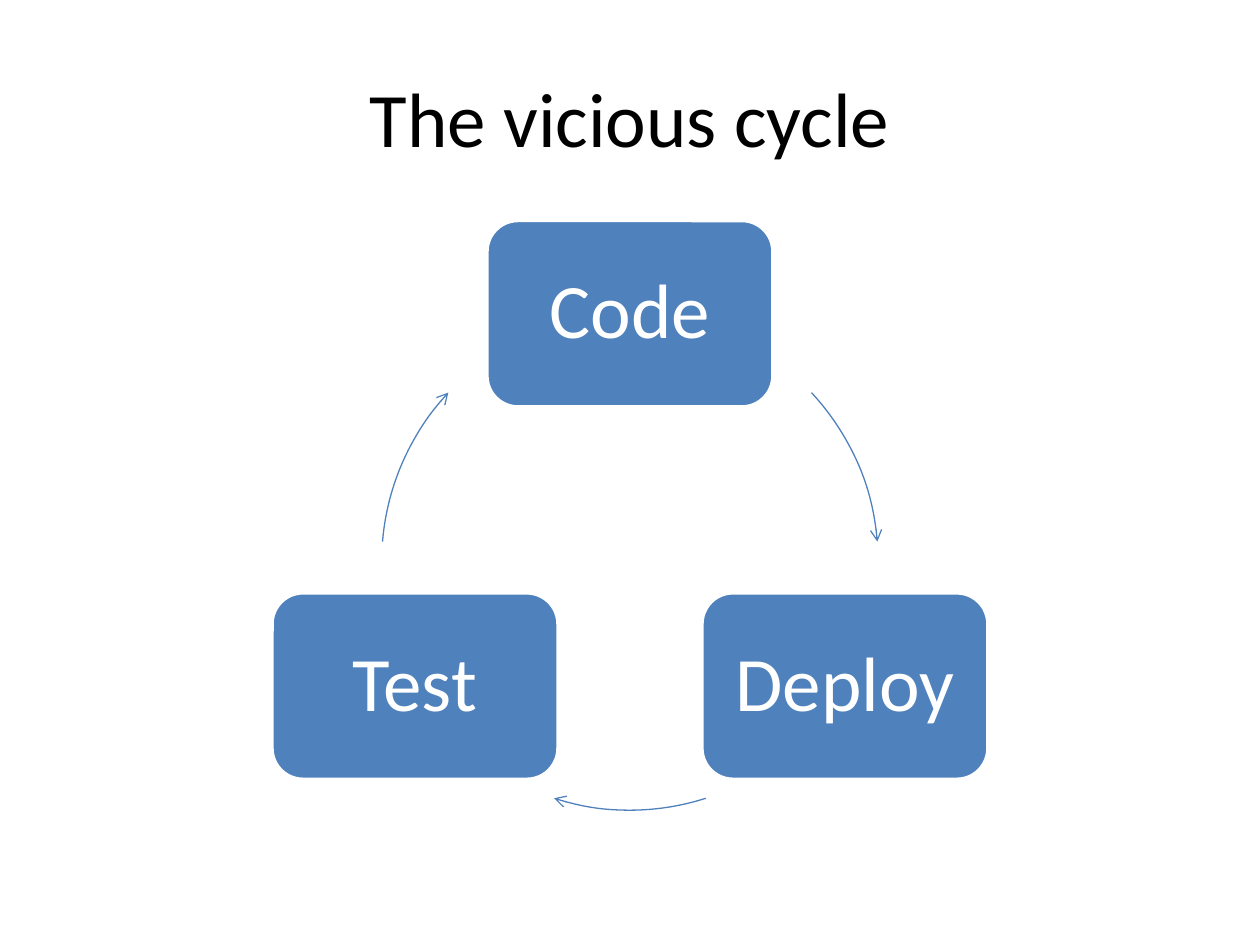
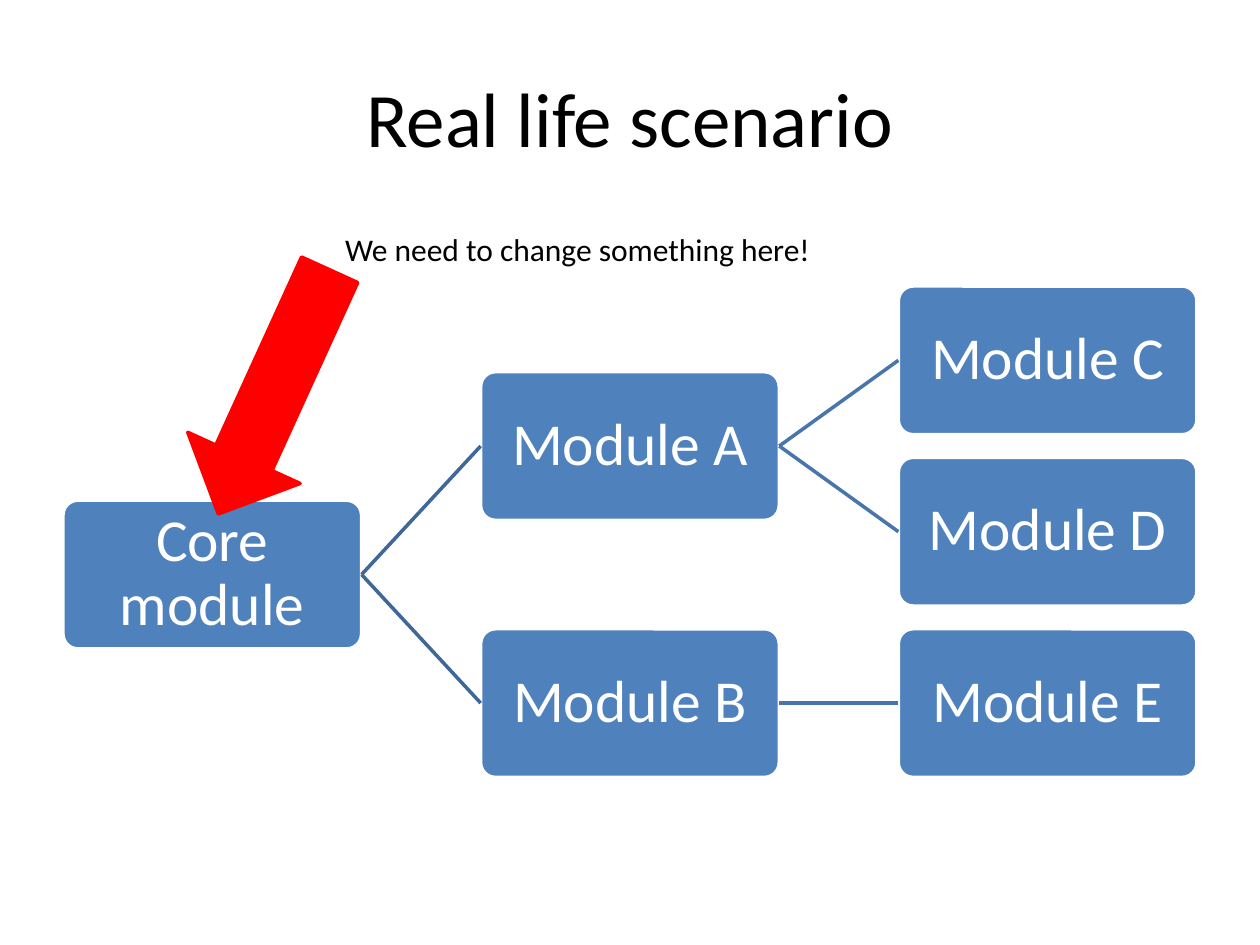
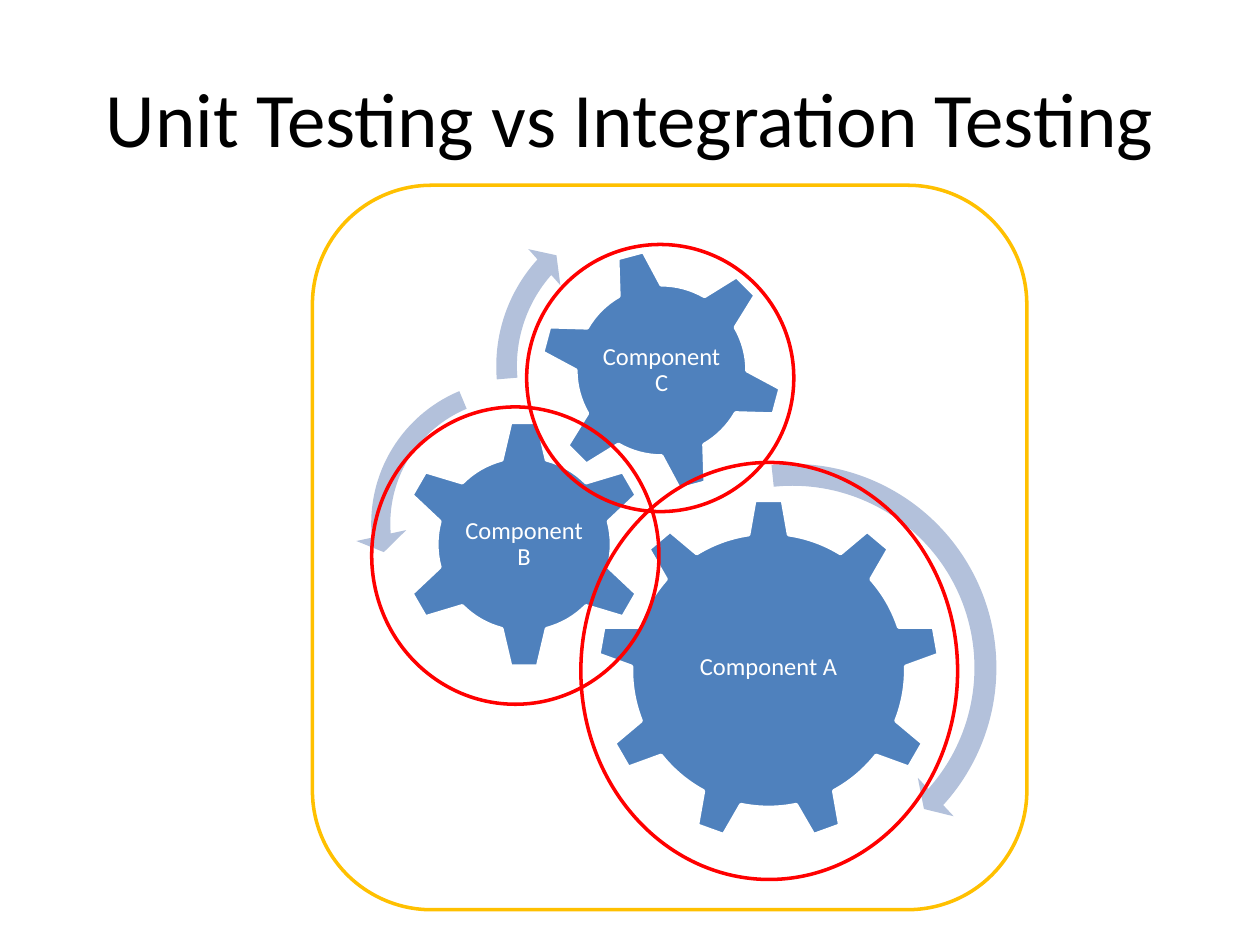
from dataclasses import dataclass
from math import cos, radians, sin

from pptx import Presentation
from pptx.dml.color import RGBColor
from pptx.enum.shapes import MSO_CONNECTOR, MSO_SHAPE
from pptx.enum.text import MSO_ANCHOR, PP_ALIGN
from pptx.oxml.ns import qn
from pptx.util import Inches, Pt
from lxml import etree

ARC, ELLIPSE, ROUND_RECT = MSO_SHAPE.ARC, MSO_SHAPE.OVAL, MSO_SHAPE.ROUNDED_RECTANGLE
GEAR_6, GEAR_9 = MSO_SHAPE.GEAR_6, MSO_SHAPE.GEAR_9
LEFT_ARROW = MSO_SHAPE.LEFT_ARROW
TURN_RIGHT, TURN_LEFT = MSO_SHAPE.CIRCULAR_ARROW, MSO_SHAPE.LEFT_CIRCULAR_ARROW
STRAIGHT = MSO_CONNECTOR.STRAIGHT
CENTER, LEFT = PP_ALIGN.CENTER, PP_ALIGN.LEFT
MIDDLE, TOP = MSO_ANCHOR.MIDDLE, MSO_ANCHOR.TOP
LEFT_SITE, RIGHT_SITE = 1, 3
ANGLE_UNIT = 0.6  # adjustment value of one degree


@dataclass(frozen=True)
class Theme:
    font: str = "Calibri"
    black: str = "000000"
    white: str = "FFFFFF"
    blue: str = "4F81BD"
    pale_blue: str = "B3C1DB"
    red: str = "FF0000"
    amber: str = "FFC000"
    link_colors: tuple = ("3F6797", "4875AC")
    title_size: int = 44
    cycle_size: int = 44
    module_size: int = 34
    note_size: int = 18
    gear_size: int = 14
    line: float = 2
    thin_line: float = 0.75


THEME = Theme()


def set_line(line, color, width=THEME.line):
    line.color.rgb = RGBColor.from_string(color)
    line.width = Pt(width)


def write(sp, text, size, color, align=CENTER, anchor=MIDDLE, inset=None, spacing=None):
    tf = sp.text_frame
    tf.word_wrap = True
    tf.vertical_anchor = anchor
    if inset is not None:
        tf.margin_left = tf.margin_right = tf.margin_top = tf.margin_bottom = Inches(inset)
    p = tf.paragraphs[0]
    p.text = text
    p.alignment = align
    p.line_spacing = spacing
    font = p.runs[0].font
    font.name, font.size = THEME.font, Pt(size)
    font.color.rgb = RGBColor.from_string(color)


def add_text(s, box, text, size, color, **layout):
    sp = s.shapes.add_textbox(*map(Inches, box))
    write(sp, text, size, color, **layout)


def add_preset(s, kind, box, fill=None, line=None, width=THEME.line, adjust=(), rotation=0):
    sp = s.shapes.add_shape(kind, *map(Inches, box))
    sp.shadow.inherit = False
    sp.rotation = rotation
    for i, value in enumerate(adjust):
        sp.adjustments[i] = value
    if fill:
        sp.fill.solid()
        sp.fill.fore_color.rgb = RGBColor.from_string(fill)
    else:
        sp.fill.background()
    if line:
        set_line(sp.line, line, width)
    else:
        sp.line.fill.background()
    return sp


def add_title_slide(prs, title):
    """Add a blank slide carrying the shared title."""
    s = prs.slides.add_slide(prs.slide_layouts[6])
    add_text(s, (0.5, 0.3, 9, 1.25), title, THEME.title_size, THEME.black)
    return s


def around(x, y, w, h):
    """Box of size w by h centred on x, y."""
    return x - w / 2, y - h / 2, w, h


def add_cycle(s, box, steps):
    """Steps at equal angles on the circle in box, each with the arc that follows it."""
    x, y, size, _ = box
    radius = size / 2
    for i, (name, arc_start, arc_end) in enumerate(steps):
        angle = radians(360 / len(steps) * i - 90)
        center = x + radius * (1 + cos(angle)), y + radius * (1 + sin(angle))
        step = add_preset(s, ROUND_RECT, around(*center, 2.27, 1.48), THEME.blue, THEME.white)
        write(step, name, THEME.cycle_size, THEME.white, inset=0.18, spacing=0.9)
        arc = add_preset(s, ARC, box, line=THEME.blue, width=THEME.thin_line,
                         adjust=(arc_start * ANGLE_UNIT, arc_end * ANGLE_UNIT))
        etree.SubElement(arc.line._get_or_add_ln(), qn("a:tailEnd"), type="arrow")


def add_link(s, parent, child, color):
    link = s.shapes.add_connector(STRAIGHT, 0, 0, 0, 0)
    link.begin_connect(parent, RIGHT_SITE)
    link.end_connect(child, LEFT_SITE)
    set_line(link.line, color)
    etree.SubElement(link._element.spPr, qn("a:effectLst"))


def add_tree(s, box, node, level=0, first_row=0):
    """Draw a (name, children) tree rightwards; return its root, middle y and leaf count."""
    x, y, w, h = box
    column, row = 3.315, 1.36
    name, children = node
    branches, leaves = [], 0
    for child in children:
        branch = add_tree(s, box, child, level + 1, first_row + leaves)
        branches.append(branch)
        leaves += branch[2]
    if branches:
        middle = (branches[0][1] + branches[-1][1]) / 2
    else:
        middle, leaves = y + h / 2 + first_row * row, 1
    module = add_preset(s, ROUND_RECT, (x + level * column, middle - h / 2, w, h),
                        THEME.blue, THEME.white, adjust=(0.1,))
    write(module, name, THEME.module_size, THEME.white, inset=0.02, spacing=0.9)
    for child, _, _ in branches:
        add_link(s, module, child, THEME.link_colors[level])
    return module, middle, leaves


def add_gear(s, kind, box, name, label_size, label_drop=0, rotation=0):
    """Gear with an upright label, label_drop below the gear's middle."""
    x, y, w, h = box
    add_preset(s, kind, box, THEME.blue, THEME.white, rotation=rotation)
    label = around(x + w / 2, y + h / 2 + label_drop, *label_size)
    add_text(s, label, name, THEME.gear_size, THEME.white, inset=0.02, spacing=0.9)


def cycle_slide(prs):
    s = add_title_slide(prs, "The vicious cycle")
    add_cycle(s, (3.03, 2.49, 3.94, 3.94),
              [("Code", 317, 355.3), ("Deploy", 72.2, 107.8), ("Test", 184.7, 223)])


def scenario_slide(prs):
    s = add_title_slide(prs, "Real life scenario")
    modules = ("Core module", [
        ("Module A", [("Module C", []), ("Module D", [])]),
        ("Module B", [("Module E", [])]),
    ])
    add_tree(s, (0.5, 2.27, 2.37, 1.18), modules)
    add_preset(s, LEFT_ARROW, (1.11, 2.62, 2.13, 0.98), THEME.red, THEME.red, rotation=294.5)
    add_text(s, (2.64, 1.78, 4.02, 0.4), "We need to change something here!",
             THEME.note_size, THEME.black, align=LEFT, anchor=TOP)


def testing_slide(prs):
    s = add_title_slide(prs, "Unit Testing vs Integration Testing")
    add_gear(s, GEAR_9, (4.74, 3.96, 2.72, 2.72), "Component A", (1.63, 1.4), label_drop=-0.02)
    add_gear(s, GEAR_6, (3.17, 3.33, 1.98, 1.98), "Component B", (0.98, 0.98))
    add_gear(s, GEAR_6, (4.28, 1.97, 1.94, 1.94), "Component C", (1.09, 1.09), rotation=345)
    turns = [
        (TURN_RIGHT, (4.55, 3.56, 3.48, 3.48), (0.05, 2.99, 25.24, 158.45, 0.06)),
        (TURN_LEFT, (2.82, 2.89, 2.53, 2.53), (0.06, 4.3, 104.89, 148.38, 0.08)),
        (TURN_RIGHT, (3.83, 1.54, 2.73, 2.73), (0.06, 3.94, 133.14, 105.08, 0.07)),
    ]
    for kind, box, adjust in turns:
        add_preset(s, kind, box, THEME.pale_blue, adjust=adjust)
    unit_scopes = [(4.61, 3.67, 2.99, 3.31), (2.95, 3.23, 2.28, 2.36), (4.18, 1.94, 2.12, 2.12)]
    for box in unit_scopes:
        add_preset(s, ELLIPSE, box, line=THEME.red)
    integration_scope = (2.48, 1.47, 5.67, 5.75)
    add_preset(s, ROUND_RECT, integration_scope, line=THEME.amber)


def main():
    prs = Presentation()
    prs.slide_width, prs.slide_height = Inches(10), Inches(7.5)
    cycle_slide(prs)
    scenario_slide(prs)
    testing_slide(prs)
    prs.save("out.pptx")


if __name__ == "__main__":
    main()
